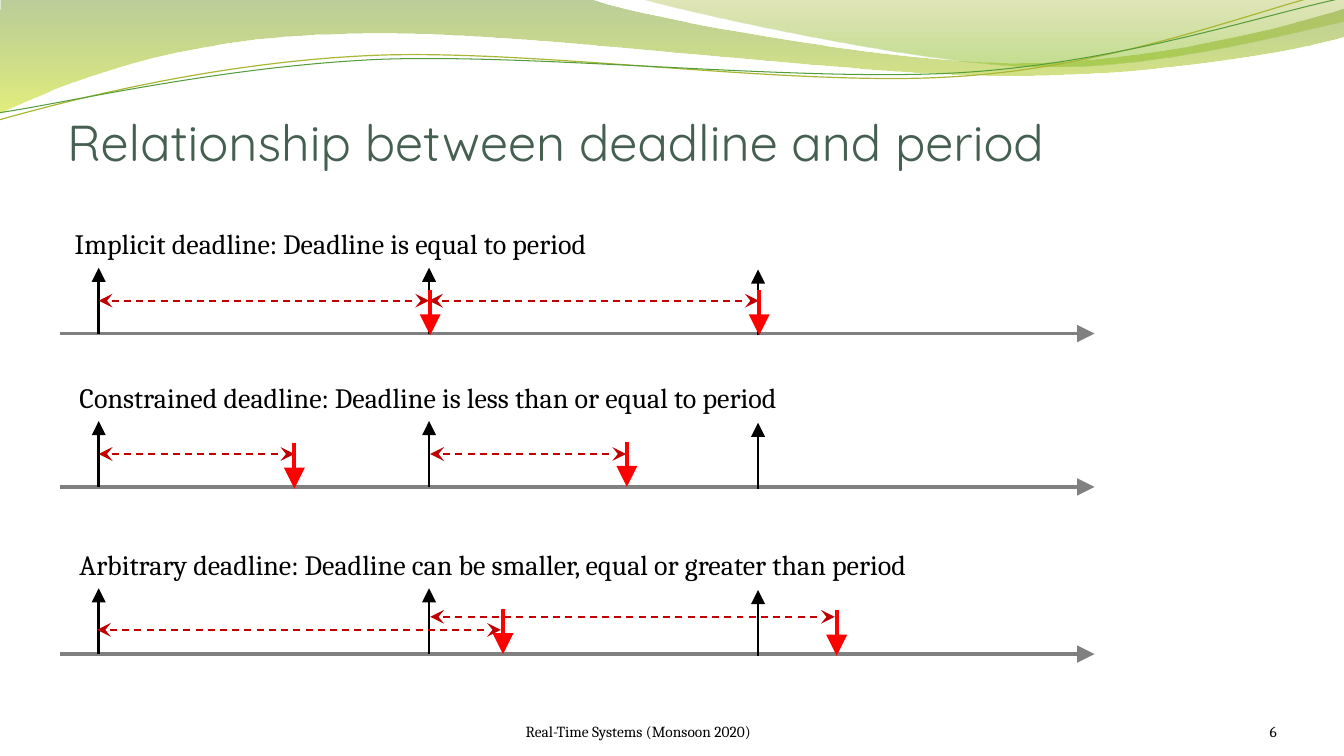
"""Build a slide comparing implicit, constrained and arbitrary deadlines."""
from lxml.etree import SubElement
from pptx import Presentation
from pptx.dml.color import RGBColor
from pptx.enum.dml import MSO_LINE
from pptx.enum.shapes import MSO_CONNECTOR
from pptx.enum.text import MSO_ANCHOR, PP_ALIGN
from pptx.oxml.ns import qn
from pptx.util import Pt

color = RGBColor.from_string

presentation = Presentation()
presentation.slide_width, presentation.slide_height = Pt(960), Pt(540)
slide = presentation.slides.add_slide(presentation.slide_layouts[6])


def add_text(text, left, top, width, height, size, font="Cambria", fill="000000",
             align=PP_ALIGN.LEFT, anchor=MSO_ANCHOR.BOTTOM, insets=(0, 0, 0)):
    text_frame = slide.shapes.add_textbox(Pt(left), Pt(top), Pt(width), Pt(height)).text_frame
    text_frame.word_wrap = True
    text_frame.vertical_anchor = anchor
    side, text_frame.margin_top, text_frame.margin_bottom = map(Pt, insets)
    text_frame.margin_left = text_frame.margin_right = side
    text_frame.text = text
    paragraph = text_frame.paragraphs[0]
    paragraph.alignment = align
    run_font = paragraph.runs[0].font
    run_font.name, run_font.size = font, Pt(size)
    run_font.color.rgb = color(fill)


def add_arrow(start, end, stroke, width, arrowhead="triangle", double=False):
    arrow = slide.shapes.add_connector(MSO_CONNECTOR.STRAIGHT, *map(Pt, start + end))
    arrow.line.color.rgb = color(stroke)
    arrow.line.width = Pt(width)
    if double:
        arrow.line.dash_style = MSO_LINE.DASH
    properties = arrow._element.spPr
    for tag in ("a:headEnd", "a:tailEnd") if double else ("a:tailEnd",):
        SubElement(properties.find(qn("a:ln")), qn(tag), type=arrowhead, w="lg", len="lg")
    SubElement(properties, qn("a:effectLst"))


waves = [
    ([(0, 0), (423, -0.5), (456, 12, 636, 45, 728, 45), (819, 45, 919, 19, 960, 6),
      (960.3, 26), (944, 32, 834, 55, 716, 54), (597, 54, 366, 20, 247, 24),
      (124, 26, 44, 60, -1.4, 81.3)],
     [(0, "69921C", 45), (1, "CCE10F", 55)], None),
    ([(459.3, -0.5), (489, 8, 654, 45, 738, 47), (821, 50, 923, 23, 960, 15), (960, 0)],
     [(0, "9BAA1A", 30), (0.8, "81BA16", 45)], None),
    ([(-2, 63), (44.4, 52.3, 151.4, 29.2, 266, 29.6), (379.9, 29.9, 567, 66.8, 682.4, 64.3),
      (798.6, 62.6, 901.9, 25.7, 959.5, 15.4)], None, ("A9B733", 0.85)),
    ([(-2, 57.9), (43.6, 53.6, 157.1, 32.3, 271.7, 32.6), (386.9, 33.8, 572.2, 63.4, 686.9, 61.6),
      (801.6, 59.8, 904.7, 30.1, 961.3, 21.2)], None, ("549E39", 0.75)),
]
for segments, gradient, stroke in waves:
    corners = [(Pt(x), Pt(y)) for segment in segments
               for x, y in zip(segment[::2], segment[1::2])]
    builder = slide.shapes.build_freeform(*corners[0])
    builder.add_line_segments(corners[1:], close=gradient is not None)
    wave = builder.convert_to_shape()
    wave.shadow.inherit = False
    straight_lines = iter(list(wave._element.iter(qn("a:lnTo"))))
    for segment in segments[1:]:
        line = next(straight_lines)
        if len(segment) == 6:
            line.tag = qn("a:cubicBezTo")
            for control in (next(straight_lines), next(straight_lines)):
                line.append(control[0])
                control.getparent().remove(control)
    if gradient:
        wave.line.fill.background()
        wave.fill.gradient()
        wave.fill.gradient_angle = 270
        for stop, (position, fill, opacity) in zip(wave.fill.gradient_stops, gradient):
            stop.position = position
            stop.color.rgb = color(fill)
            SubElement(stop._gs.find(qn("a:srgbClr")), qn("a:alpha"), val=str(opacity * 1000))
    else:
        wave.rotation = 357.3
        wave.fill.background()
        wave.line.color.rgb = color(stroke[0])
        wave.line.width = Pt(stroke[1])

add_text("Relationship between deadline and period", 48, 32.4, 864, 90, 36,
         "Quicksand", "455F51", insets=(0, 3.6, 0))
add_text("Real-Time Systems (Monsoon 2020)", 280, 500.4, 352, 28.8, 11, align=PP_ALIGN.CENTER)
add_text("6", 832, 500.4, 80, 28.8, 11, align=PP_ALIGN.RIGHT)

releases = [(70.5, 0), (306.5, 0), (541.5, 1.2)]
timelines = [
    ("Implicit deadline: Deadline is equal to period", 46.3, 238.3,
     [(70.5, 306.5, 23.5), (306.5, 542, 23.5)], [(307.3, 1.2), (542.3, 1.2)]),
    ("Constrained deadline: Deadline is less than or equal to period", 49.7, 347.8,
     [(70.5, 210.3, 23.5), (307.3, 447.3, 23.5)], [(210.3, 1.2), (447.8, 0)]),
    ("Arbitrary deadline: Deadline can be smaller, equal or greater than period", 49.7, 467.2,
     [(69.3, 357.8, 17.3), (307.3, 596.3, 26.6)], [(359.3, 0), (597.6, 1.2)]),
]
for caption, left, axis, spans, deadlines in timelines:
    add_text(caption, left, axis - 79.8, 749.5, 31.5, 20, anchor=MSO_ANCHOR.TOP,
             insets=(7.2, 3.6, 3.6))
    add_arrow((43, axis), (781.8, axis), "808080", 2.5)
    for x, drop in releases:
        add_arrow((x, axis + drop), (x, axis + drop - 47), "000000", 2)
    for span_start, span_end, rise in spans:
        add_arrow((span_start, axis - rise), (span_end, axis - rise), "C00000", 1.25,
                  "stealth", double=True)
    for x, drop in deadlines:
        add_arrow((x, axis + drop - 32.4), (x, axis + drop), "FF0000", 3)

presentation.save("out.pptx")
